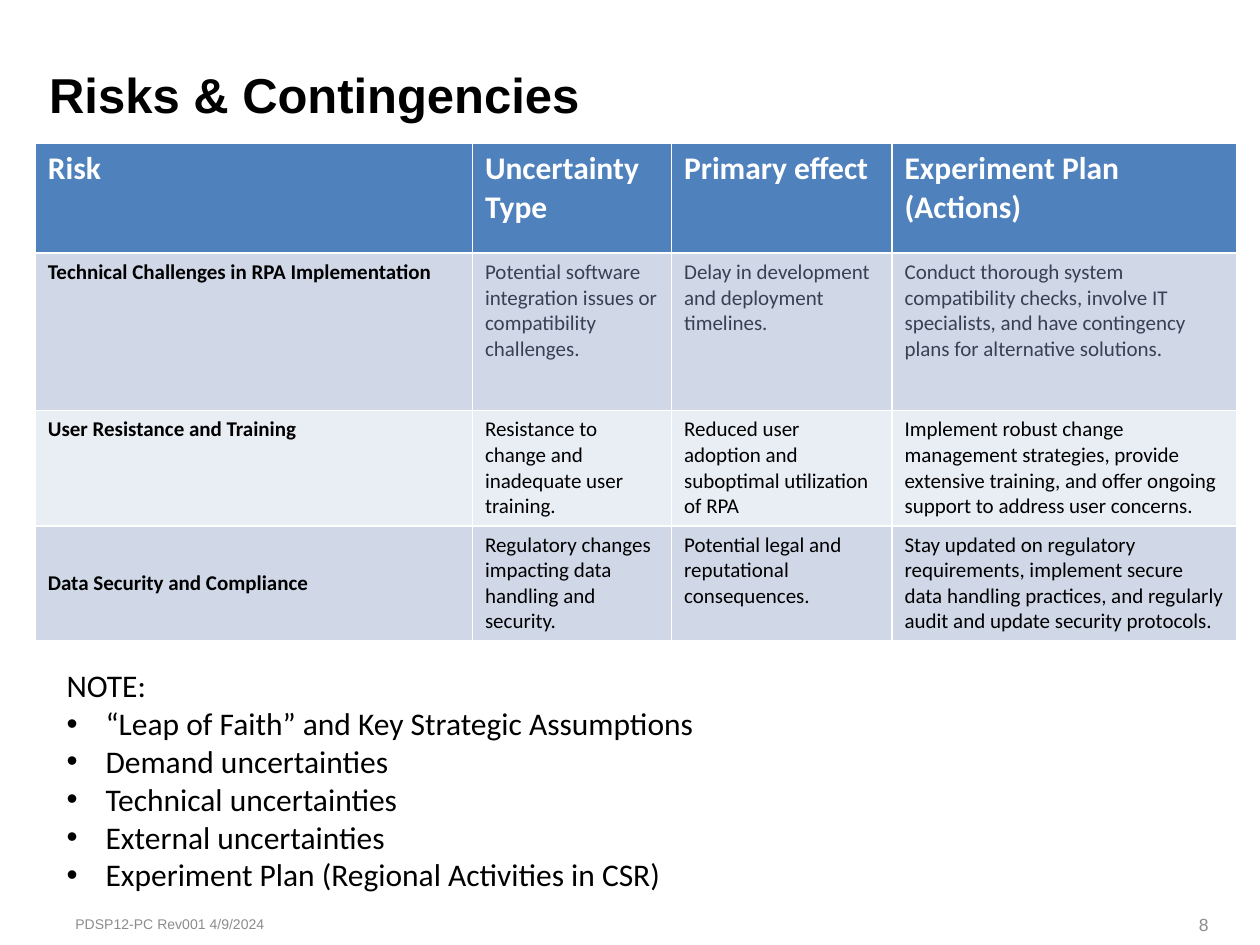
from lxml import etree
from pptx import Presentation
from pptx.dml.color import RGBColor
from pptx.enum.text import MSO_ANCHOR, MSO_AUTO_SIZE, PP_ALIGN
from pptx.oxml.ns import qn
from pptx.util import Inches, Pt

LEFT, RIGHT = PP_ALIGN.LEFT, PP_ALIGN.RIGHT
TOP, MIDDLE, BOTTOM = MSO_ANCHOR.TOP, MSO_ANCHOR.MIDDLE, MSO_ANCHOR.BOTTOM
NO_FIT = MSO_AUTO_SIZE.NONE

SLIDE_WIDTH, SLIDE_HEIGHT = Inches(10), Inches(7.5)
TITLE_ONLY = 5
HEADING, BODY = "Arial", "Calibri"
BLACK, WHITE, SLATE, GREY = "000000", "FFFFFF", "374151", "8C8C8C"
HEADER_FILL, BANDS = "4F81BD", ("E9EDF4", "D0D8E8")

COLUMN_WIDTHS = (3.47, 1.58, 1.75, 2.74)
ROW_HEIGHTS = (0.87, 1.25, 0.91, 0.91)
RISKS = (
    ("Risk", "Uncertainty Type", "Primary effect", "Experiment Plan (Actions)"),
    (
        "Technical Challenges in RPA Implementation",
        "Potential software integration issues or compatibility challenges.",
        "Delay in development and deployment timelines.",
        "Conduct thorough system compatibility checks, involve IT specialists, "
        "and have contingency plans for alternative solutions.",
    ),
    (
        "User Resistance and Training",
        "Resistance to change and inadequate user training.",
        "Reduced user adoption and suboptimal utilization of RPA",
        "Implement robust change management strategies, provide extensive "
        "training, and offer ongoing support to address user concerns.",
    ),
    (
        "Data Security and Compliance",
        "Regulatory changes impacting data handling and security.",
        "Potential legal and reputational consequences.",
        "Stay updated on regulatory requirements, implement secure data handling "
        "practices, and regularly audit and update security protocols.",
    ),
)
NOTES = (
    "“Leap of Faith” and Key Strategic Assumptions",
    "Demand uncertainties",
    "Technical uncertainties",
    "External uncertainties",
    "Experiment Plan (Regional Activities in CSR)",
)


def color(value):
    """Turn a hex string into a colour."""
    return RGBColor.from_string(value)


def area(left, top, width, height):
    """Turn percentages of the slide into left, top, width and height."""
    return (
        int(SLIDE_WIDTH * left / 100),
        int(SLIDE_HEIGHT * top / 100),
        int(SLIDE_WIDTH * width / 100),
        int(SLIDE_HEIGHT * height / 100),
    )


def add_span(para, text, font, size, tint, bold=False):
    """Add one formatted run to a paragraph."""
    span = para.add_run()
    span.text = text
    span.font.name = font
    span.font.size = Pt(size)
    span.font.bold = bold
    span.font.color.rgb = color(tint)


def add_title(page, text):
    """Place and fill the title placeholder."""
    title = page.shapes.title
    title.left, title.top, title.width, title.height = area(2.9, 2.53, 79.1, 11.2)
    frame = title.text_frame
    frame.auto_size = NO_FIT
    frame.vertical_anchor = BOTTOM
    para = frame.paragraphs[0]
    para.alignment = LEFT
    add_span(para, text, HEADING, 28, BLACK, bold=True)


def add_box(page, place, anchor):
    """Add a wrapping text box and return its frame."""
    frame = page.shapes.add_textbox(*place).text_frame
    frame.word_wrap = True
    frame.vertical_anchor = anchor
    return frame


def add_bullet(para):
    """Give a paragraph a round bullet with a hanging indent."""
    properties = para._p.get_or_add_pPr()
    properties.set("marL", str(Inches(0.31)))
    properties.set("indent", str(-Inches(0.31)))
    etree.SubElement(properties, qn("a:buFont")).set("typeface", HEADING)
    etree.SubElement(properties, qn("a:buChar")).set("char", "•")


def fill_cell(cell, text, row, column):
    """Format a cell by its place in the risk table."""
    header = row == 0
    cell.fill.solid()
    cell.fill.fore_color.rgb = color(HEADER_FILL if header else BANDS[row % 2])
    if header:
        tint = WHITE
    else:
        tint = SLATE if row == 1 and column else BLACK
    last_risk = row == len(RISKS) - 1 and column == 0
    cell.vertical_anchor = MIDDLE if last_risk else TOP
    add_span(
        cell.text_frame.paragraphs[0], text, BODY,
        18 if header else 12, tint, bold=header or column == 0,
    )


def add_risk_table(page):
    """Add the table of risks, effects and actions."""
    table = page.shapes.add_table(
        len(RISKS), len(COLUMN_WIDTHS), *area(2.8, 15.2, 95.4, 52.53)
    ).table
    for column, width in zip(table.columns, COLUMN_WIDTHS):
        column.width = Inches(width)
    for row, height in zip(table.rows, ROW_HEIGHTS):
        row.height = Inches(height)
    for row, texts in enumerate(RISKS):
        for column, text in enumerate(texts):
            fill_cell(table.cell(row, column), text, row, column)


def add_notes(page):
    """Add the note heading and its bulleted list."""
    frame = add_box(page, area(4.3, 69.87, 87.1, 25.6), TOP)
    add_span(frame.paragraphs[0], "NOTE:", BODY, 18, BLACK)
    for note in NOTES:
        para = frame.add_paragraph()
        add_bullet(para)
        add_span(para, note, BODY, 18, BLACK)


def add_footer(page, text, left, size, alignment):
    """Add a grey line of text at the foot of the slide."""
    para = add_box(page, area(left, 95.6, 23.3, 4.4), MIDDLE).paragraphs[0]
    para.alignment = alignment
    add_span(para, text, HEADING, size, GREY)


def main():
    """Build and save the slide."""
    deck = Presentation()
    deck.slide_width, deck.slide_height = SLIDE_WIDTH, SLIDE_HEIGHT
    page = deck.slides.add_slide(deck.slide_layouts[TITLE_ONLY])
    add_title(page, "Risks & Contingencies")
    add_risk_table(page)
    add_notes(page)
    add_footer(page, "8", 73.6, 10, RIGHT)
    add_footer(page, "PDSP12-PC Rev001 4/9/2024", 5, 8, LEFT)
    deck.save("out.pptx")


if __name__ == "__main__":
    main()
